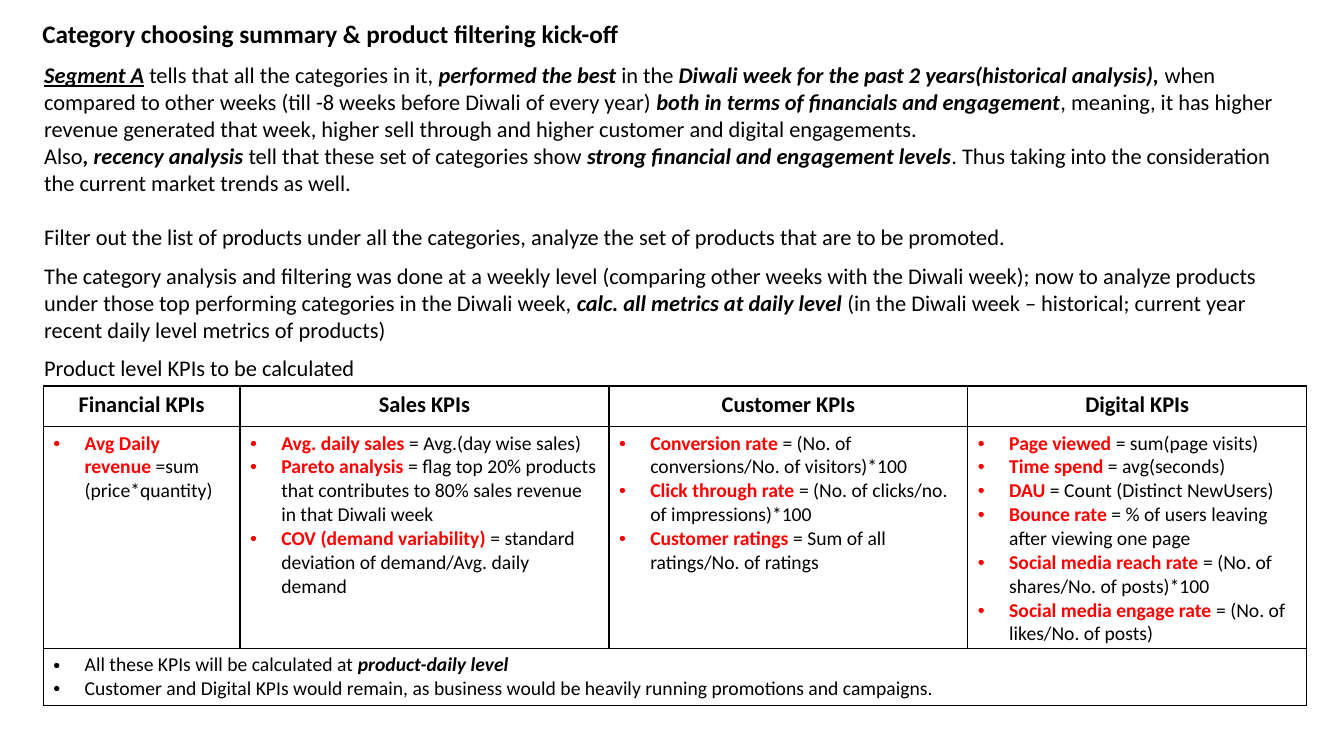
from lxml.etree import SubElement
from pptx import Presentation
from pptx.dml.color import RGBColor
from pptx.enum.text import MSO_ANCHOR, PP_ALIGN
from pptx.oxml.ns import qn
from pptx.util import Inches, Pt

COLORS = {"text": "000000", "kpi": "FF0000", "cell": "FFFFFF", "border": "000000"}
FONT = "Calibri"
EMPHASIS = {"bold": True, "italic": True}

SEGMENT = (
    " tells that all the categories in it, |performed the best |in the "
    "|Diwali week for the past 2 years(historical analysis), |when compared to other weeks "
    "(till -8 weeks before Diwali of every year) |both in terms of financials and engagement"
    "|, meaning, it has higher revenue generated that week, higher sell through and higher "
    "customer and digital engagements."
)
RECENCY = (
    "Also|, recency analysis |tell that these set of categories show "
    "|strong financial and engagement levels|. Thus taking into the consideration the current "
    "market trends as well."
)
FILTERING = (
    "Filter out the list of products under all the categories, analyze the set of products "
    "that are to be promoted."
)
DAILY = (
    "The category analysis and filtering was done at a weekly level (comparing other weeks "
    "with the Diwali week); now to analyze products under those top performing categories in "
    "the Diwali week, |calc. all metrics at daily level |(in the Diwali week – historical; "
    "current year recent daily level metrics of products)"
)
KPIS = {
    "Financial KPIs": [("Avg Daily revenue ", "=sum (price*quantity)")],
    "Sales KPIs": [
        ("Avg. daily sales ", "= Avg.(day wise sales)"),
        ("Pareto analysis ",
         "= flag top 20% products that contributes to 80% sales revenue in that Diwali week"),
        ("COV (demand variability) ", "= standard deviation of demand/Avg. daily demand"),
    ],
    "Customer KPIs": [
        ("Conversion rate ", "= (No. of conversions/No. of visitors)*100"),
        ("Click through rate ", "= (No. of clicks/no. of impressions)*100"),
        ("Customer ratings ", "= Sum of all ratings/No. of ratings"),
    ],
    "Digital KPIs": [
        ("Page viewed ", "= sum(page visits)"),
        ("Time spend ", "= avg(seconds)"),
        ("DAU", " = Count (Distinct NewUsers)"),
        ("Bounce rate ", "= % of users leaving after viewing one page"),
        ("Social media reach rate ", "= (No. of shares/No. of posts)*100"),
        ("Social media engage rate ", "= (No. of likes/No. of posts)"),
    ],
}
NOTES = [
    "All these KPIs will be calculated at |product-daily level",
    "Customer and Digital KPIs would remain, as business would be heavily running promotions "
    "and campaigns.",
]


def add_run(p, text, size=16, color="text", bold=False, italic=False, underline=False):
    r = p.add_run()
    r.text = text
    f = r.font
    f.name, f.size = FONT, Pt(size)
    f.bold, f.italic, f.underline = bold, italic, underline
    f.color.rgb = RGBColor.from_string(COLORS[color])


def add_marked(p, text, size=16):
    """Add text in which every second part between bars is bold italic."""
    for i, part in enumerate(text.split("|")):
        add_run(p, part, size, **(EMPHASIS if i % 2 else {}))


def add_text_box(slide, left, top, width, height):
    tf = slide.shapes.add_textbox(*map(Inches, (left, top, width, height))).text_frame
    tf.word_wrap = True
    return tf


def add_title(slide, text):
    sp = slide.shapes.title
    sp.left, sp.top, sp.width, sp.height = map(Inches, (0.32, 0.13, 9.06, 0.4))
    tf = sp.text_frame
    tf.vertical_anchor = MSO_ANCHOR.TOP
    p = tf.paragraphs[0]
    p.alignment = PP_ALIGN.LEFT
    p.line_spacing = 1.0
    add_run(p, text, size=18, bold=True)


def bullet_paragraphs(cell, count):
    tf = cell.text_frame
    for i in range(count):
        p = tf.add_paragraph() if i else tf.paragraphs[0]
        pPr = p._p.get_or_add_pPr()
        pPr.set("marL", str(Inches(0.31)))
        pPr.set("indent", str(-Inches(0.31)))
        SubElement(pPr, qn("a:buFont"), typeface="Arial")
        SubElement(pPr, qn("a:buChar"), char="•")
        yield p


def style_cell(cell):
    tcPr = cell._tc.get_or_add_tcPr()
    for side in ("lnL", "lnR", "lnT", "lnB"):
        ln = SubElement(tcPr, qn(f"a:{side}"), w=str(Pt(1)))
        fill = SubElement(ln, qn("a:solidFill"))
        SubElement(fill, qn("a:srgbClr"), val=COLORS["border"])
    cell.fill.solid()
    cell.fill.fore_color.rgb = RGBColor.from_string(COLORS["cell"])


def add_kpi_table(slide):
    widths, heights = (1.95, 3.66, 3.56, 3.36), (0.4, 2.2, 0.57)
    table = slide.shapes.add_table(
        len(heights), len(widths),
        *map(Inches, (0.43, 3.83, sum(widths), sum(heights)))).table
    table.first_row = table.horz_banding = False
    for column, width in zip(table.columns, widths):
        column.width = Inches(width)
    for row, height in zip(table.rows, heights):
        row.height = Inches(height)
    for cell in table.iter_cells():
        style_cell(cell)

    for col, (heading, kpis) in enumerate(KPIS.items()):
        p = table.cell(0, col).text_frame.paragraphs[0]
        p.alignment = PP_ALIGN.CENTER
        add_run(p, heading, bold=True)
        for p, (name, formula) in zip(bullet_paragraphs(table.cell(1, col), len(kpis)), kpis):
            add_run(p, name, size=14, color="kpi", bold=True)
            add_run(p, formula, size=14)

    footer = table.cell(2, 0)
    footer.merge(table.cell(2, len(widths) - 1))
    for p, note in zip(bullet_paragraphs(footer, len(NOTES)), NOTES):
        add_marked(p, note, size=14)


def add_summary(slide):
    tf = add_text_box(slide, 0.34, 0.56, 12.43, 1.99)
    p = tf.paragraphs[0]
    add_run(p, "Segment A", underline=True, **EMPHASIS)
    add_marked(p, SEGMENT)
    add_marked(tf.add_paragraph(), RECENCY)
    p = tf.add_paragraph()
    p.space_before = Pt(19.5)
    add_marked(p, FILTERING)


def main():
    prs = Presentation()
    prs.slide_width, prs.slide_height = Inches(13.33), Inches(7.5)
    slide = prs.slides.add_slide(prs.slide_layouts.get_by_name("Title Only"))
    add_title(slide, "Category choosing summary & product filtering kick-off")
    add_summary(slide)
    add_marked(add_text_box(slide, 0.34, 2.55, 12.61, 0.91).paragraphs[0], DAILY)
    add_marked(add_text_box(slide, 0.34, 3.46, 4.15, 0.37).paragraphs[0],
               "Product level KPIs to be calculated")
    add_kpi_table(slide)
    prs.save("out.pptx")


if __name__ == "__main__":
    main()
